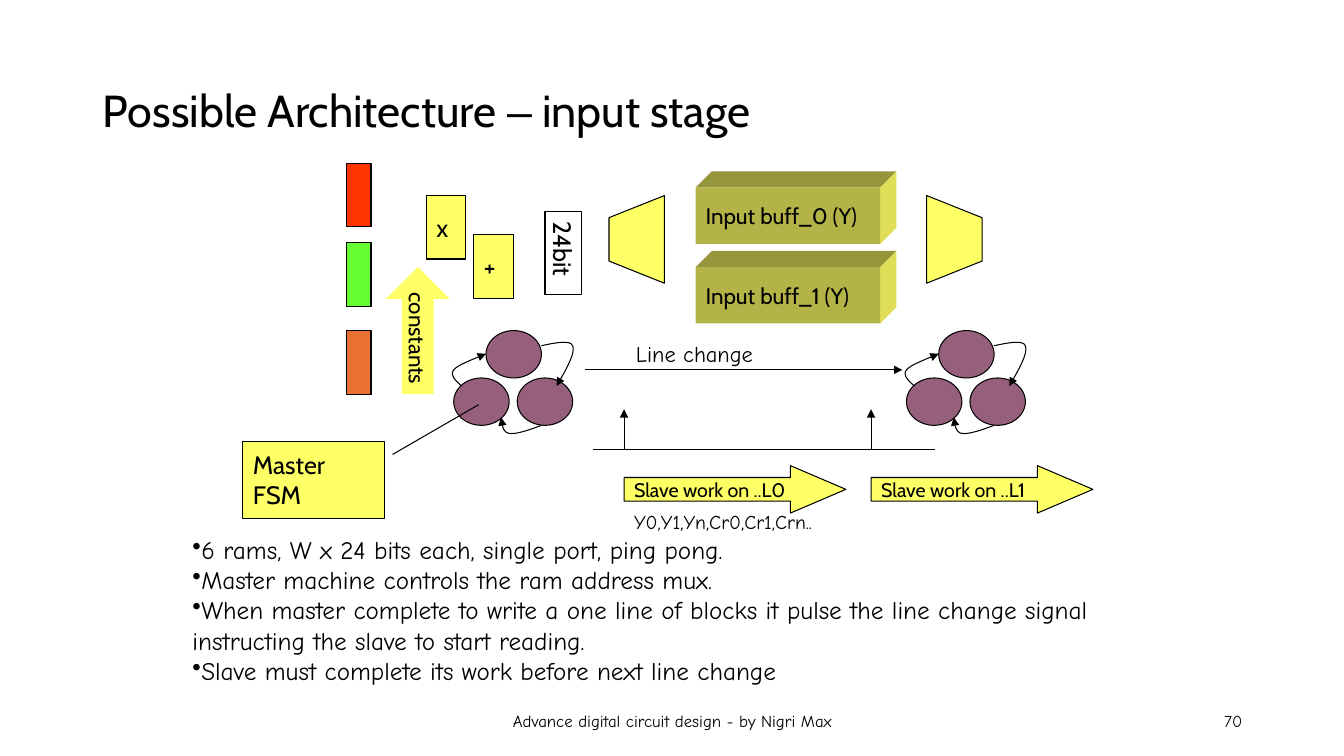
"""Build the slide on the input stage of a possible architecture."""
import pptx
import pptx.util
import pptx.dml.color
import pptx.oxml
import pptx.oxml.ns
from pptx.enum.shapes import MSO_CONNECTOR, MSO_SHAPE
from pptx.enum.text import MSO_ANCHOR, PP_ALIGN

Inches = pptx.util.Inches
YELLOW, BLACK, PLUM = "FFFF66", "000000", "96607D"
BODY, HAND = "Cabin", "Comic Neue"

TITLE = [("Possible Architecture ", BODY), ("–", "Arial"), (" input stage", BODY)]
BULLETS = [
    "6 rams, W x 24 bits each, single port, ping pong.",
    "Master machine controls the ram address mux.",
    "When master complete to write a one line of blocks it pulse the line change signal \v"
    "instructing the slave to start reading.",
    "Slave must complete its work before next line change",
]
BUFFERS = [("Input buff_0 (Y)", 1.86), ("Input buff_1 (Y)", 2.65)]
COLOUR_INPUTS = [("FF3300", 1.62), ("66FF33", 2.41), ("E97132", 3.28)]
OPERATORS = [("x", 4.23, 1.94), ("+", 4.7, 2.33)]
MUXES = [(6.59, 6.04), (9.19, 9.74)]
SLAVES = [("Slave work on ..L0", 6.19), ("Slave work on ..L1", 8.64)]
MACHINES = [4.5, 8.99]
STATES = [(0.32, 3.28), (0.63, 3.75), (0, 3.75)]
TRANSITIONS = [
    [(0.87, 3.43), (1.01, 3.4), (1.16, 3.37), (1.18, 3.43), (1.21, 3.5), (1.12, 3.66), (1.02, 3.83)],
    [(0.87, 4.22), (0.74, 4.27), (0.62, 4.31), (0.55, 4.3), (0.49, 4.29), (0.48, 4.22), (0.47, 4.14)],
    [(0.08, 3.83), (0.02, 3.78), (-0.04, 3.72), (0, 3.67), (0.04, 3.62), (0.18, 3.57), (0.32, 3.51)],
]
LINES = [
    ((5.8, 3.67), (8.95, 3.67), True),
    ((5.88, 4.46), (9.27, 4.46), False),
    ((6.19, 4.46), (6.19, 4.06), True),
    ((8.64, 4.46), (8.64, 4.06), True),
]
LABELS = [
    ("Line change", (6.21, 3.33, 1.4, 0.37), 16),
    ("Y0,Y1,Yn,Cr0,Cr1,Crn..", (6.19, 5.01, 2.18, 0.33), 14),
]
FOOTERS = [
    ("Advance digital circuit design - by Nigri Max", (4.42, 6.95, 4.5, 0.4), PP_ALIGN.CENTER),
    ("70", (9.42, 6.95, 3, 0.4), PP_ALIGN.RIGHT),
]


def rgb(colour):
    return pptx.dml.color.RGBColor.from_string(colour)


def format_span(span, size, font):
    span.font.size = pptx.util.Pt(size)
    span.font.name = font
    span.font.color.rgb = rgb(BLACK)


def write(shape, lines, size, font, align=PP_ALIGN.LEFT, anchor=MSO_ANCHOR.MIDDLE, wrap=False):
    frame = shape.text_frame
    frame.word_wrap = wrap
    frame.vertical_anchor = anchor
    frame.text = lines[0]
    for line in lines[1:]:
        frame.add_paragraph().text = line
    for para in frame.paragraphs:
        para.alignment = align
        for span in para.runs:
            format_span(span, size, font)


def paint(shape, fill, line=BLACK):
    shape.shadow.inherit = False
    if fill:
        shape.fill.solid()
        shape.fill.fore_color.rgb = rgb(fill)
    else:
        shape.fill.background()
    if line:
        shape.line.color.rgb = rgb(line)
        shape.line.width = pptx.util.Pt(0.75)
    else:
        shape.line.fill.background()
    return shape


def add_block(shapes, kind, place, fill=YELLOW, line=BLACK):
    return paint(shapes.add_shape(kind, *map(Inches, place)), fill, line)


def add_outline(shapes, points, fill=None, line=BLACK, close=True):
    corners = [(Inches(x), Inches(y)) for x, y in points]
    builder = shapes.build_freeform(*corners[0])
    builder.add_line_segments(corners[1:], close=close)
    return paint(builder.convert_to_shape(), fill, line)


def add_arrowhead(shape):
    line = shape.line._get_or_add_ln()
    tail = pptx.oxml.ns.qn("a:tailEnd")
    line.append(line.makeelement(tail, {"type": "triangle"}))


def curve_points(controls, steps=8):
    points = [controls[0]]
    for start in range(0, len(controls) - 1, 3):
        corners = controls[start:start + 4]
        for step in range(1, steps + 1):
            t = step / steps
            weights = ((1 - t) ** 3, 3 * t * (1 - t) ** 2, 3 * t * t * (1 - t), t ** 3)
            points.append(tuple(sum(w * c[axis] for w, c in zip(weights, corners)) for axis in (0, 1)))
    return points


def add_machine(shapes, left):
    group = shapes.add_group_shape().shapes
    for x, y in STATES:
        add_block(group, MSO_SHAPE.OVAL, (left + x, y, 0.55, 0.47), PLUM)
    for controls in TRANSITIONS:
        points = [(left + x, y) for x, y in curve_points(controls)]
        add_arrowhead(add_outline(group, points, close=False))


def add_buffer(shapes, name, top):
    left, right, bottom, depth = 6.9, 8.73, top + 0.56, 0.16
    roof = [(left, top), (left + depth, top - depth), (right + depth, top - depth), (right, top)]
    side = [(right, top), (right + depth, top - depth), (right + depth, bottom - depth), (right, bottom)]
    add_outline(shapes, roof, "95953B", None)
    add_outline(shapes, side, "DEDE59", None)
    front = add_block(shapes, MSO_SHAPE.RECTANGLE, (left, top, right - left, 0.56), "B3B347", None)
    write(front, [name], 16, BODY)


def add_line(shapes, start, end, arrow):
    line = shapes.add_connector(MSO_CONNECTOR.STRAIGHT, *map(Inches, start + end))
    line.line.color.rgb = rgb(BLACK)
    line.line.width = pptx.util.Pt(0.75)
    if arrow:
        add_arrowhead(line)
    properties = line._element.spPr
    properties.append(properties.makeelement(pptx.oxml.ns.qn("a:effectLst"), {}))


def add_text(shapes, lines, place, size, **layout):
    box = shapes.add_textbox(*map(Inches, place))
    write(box, lines, size, HAND, **layout)
    return box


def add_title(shapes):
    title = shapes.title
    title.left, title.top, title.width, title.height = map(Inches, (0.92, 0.4, 11.5, 1.45))
    title.text_frame.vertical_anchor = MSO_ANCHOR.MIDDLE
    para = title.text_frame.paragraphs[0]
    para.alignment = PP_ALIGN.LEFT
    para.line_spacing = 0.9
    for words, font in TITLE:
        span = para.add_run()
        span.text = words
        format_span(span, 32, font)


def add_datapath(shapes):
    for name, top in BUFFERS:
        add_buffer(shapes, name, top)
    for wide, narrow in MUXES:
        add_outline(shapes, [(wide, 1.94), (narrow, 2.16), (narrow, 2.59), (wide, 2.81)], YELLOW)
    for colour, top in COLOUR_INPUTS:
        add_block(shapes, MSO_SHAPE.RECTANGLE, (3.44, top, 0.24, 0.63), colour)
    for sign, left, top in OPERATORS:
        write(add_block(shapes, MSO_SHAPE.RECTANGLE, (left, top, 0.39, 0.63)), [sign], 18, BODY)
    register = add_block(shapes, MSO_SHAPE.RECTANGLE, (5.17, 2.33, 0.83, 0.36), "FFFFFF")
    register.rotation = 90
    write(register, ["24bit"], 18, BODY)
    constants = add_block(shapes, MSO_SHAPE.UP_ARROW, (3.83, 2.65, 0.63, 1.26), YELLOW, None)
    write(constants, ["constants"], 16, BODY)
    constants.text_frame._txBody.bodyPr.set("vert", "eaVert")


def add_control(shapes):
    for left in MACHINES:
        add_machine(shapes, left)
    master = add_block(shapes, MSO_SHAPE.LINE_CALLOUT_1, (2.41, 4.38, 1.4, 0.76))
    for index, value in enumerate((0.17, 1.06, -0.48, 1.67)):
        master.adjustments[index] = value
    write(master, ["Master FSM"], 18, BODY, wrap=True)
    for start, end, arrow in LINES:
        add_line(shapes, start, end, arrow)
    for name, left in SLAVES:
        slave = add_block(shapes, MSO_SHAPE.RIGHT_ARROW, (left, 4.62, 2.2, 0.47))
        slave.adjustments[1] = 1.17
        write(slave, [name], 14, BODY)


def add_notes(shapes):
    for words, place, size in LABELS:
        add_text(shapes, [words], place, size, anchor=MSO_ANCHOR.TOP)
    box = add_text(shapes, BULLETS, (1.81, 5.25, 9.85, 1.6), 18, anchor=MSO_ANCHOR.TOP, wrap=True)
    for para in box.text_frame.paragraphs:
        properties = para._p.get_or_add_pPr()
        properties.append(properties.makeelement(pptx.oxml.ns.qn("a:buChar"), {"char": "•"}))
    for words, place, align in FOOTERS:
        add_text(shapes, [words], place, 12, align=align, wrap=True)


def main():
    deck = pptx.Presentation()
    deck.slide_width, deck.slide_height = Inches(13.33), Inches(7.5)
    shapes = deck.slides.add_slide(deck.slide_layouts[5]).shapes
    for add_part in (add_title, add_datapath, add_control, add_notes):
        add_part(shapes)
    deck.save("out.pptx")


if __name__ == "__main__":
    main()
